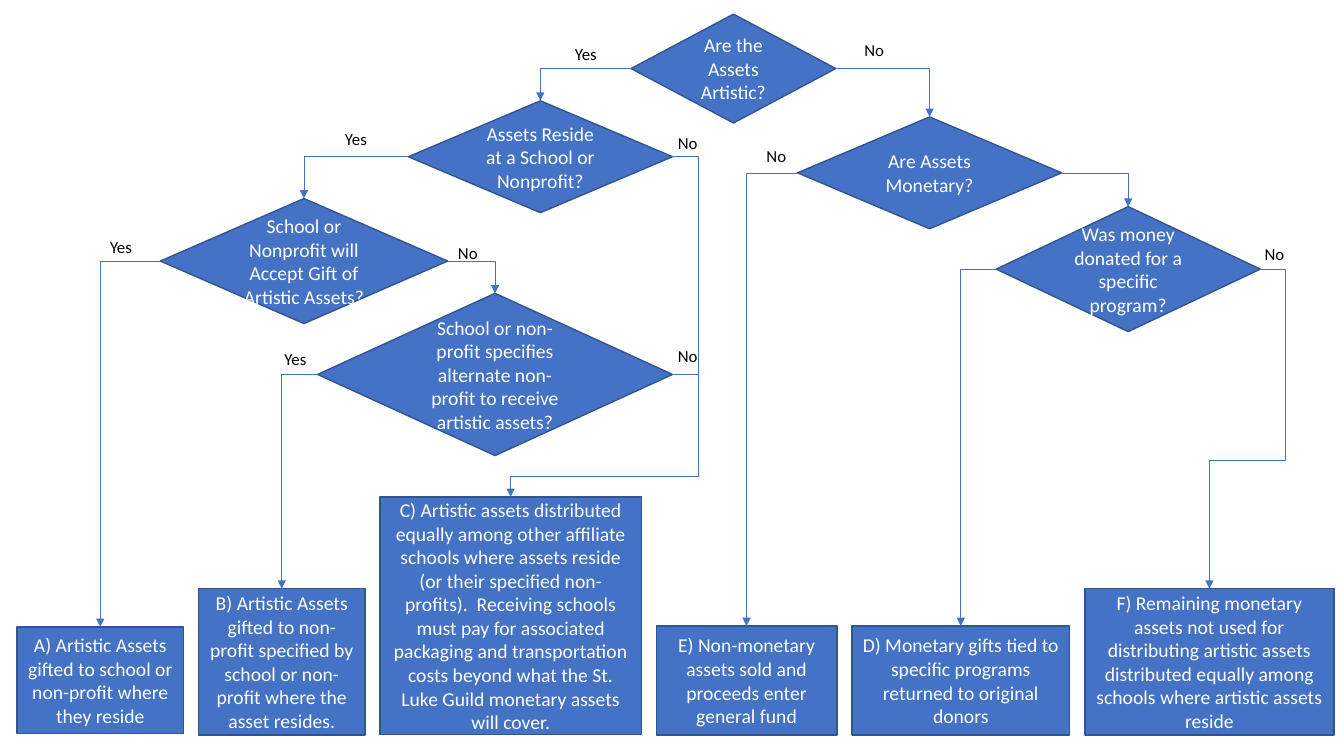
from dataclasses import dataclass

from lxml.etree import SubElement
from pptx import Presentation
from pptx.dml.color import RGBColor
from pptx.enum.shapes import MSO_CONNECTOR, MSO_SHAPE
from pptx.enum.text import PP_ALIGN
from pptx.oxml.ns import qn
from pptx.util import Inches, Pt


@dataclass(frozen=True)
class Theme:
    font: str = "Calibri"
    fill: RGBColor = RGBColor(0x44, 0x72, 0xC4)
    outline: RGBColor = RGBColor(0x32, 0x54, 0x91)
    on_fill: RGBColor = RGBColor(0xFF, 0xFF, 0xFF)
    label: RGBColor = RGBColor(0, 0, 0)
    node_size: Pt = Pt(14)
    label_size: Pt = Pt(12)
    outline_width: Pt = Pt(1)
    link_width: Pt = Pt(0.5)


theme = Theme()
TOP, LEFT, RIGHT = 0, 1, 3  # connection sites

prs = Presentation()
prs.slide_width, prs.slide_height = Inches(13.33), Inches(7.5)
s = prs.slides.add_slide(prs.slide_layouts[6])


def write(sp, text, size, color):
    p = sp.text_frame.paragraphs[0]
    p.text = text
    p.alignment = PP_ALIGN.CENTER
    p.font.name, p.font.size, p.font.color.rgb = theme.font, size, color


def link(source, side, target=None, end=(0, 0), bends=None):
    """Join a decision's side to the target's top, or to a loose end point.

    bends gives the two bend positions as fractions of the width and height.
    """
    c = s.shapes.add_connector(MSO_CONNECTOR.ELBOW, 0, 0, Inches(end[0]), Inches(end[1]))
    c.begin_connect(source, side)
    if target is not None:
        c.end_connect(target, TOP)
    c.line.color.rgb, c.line.width = theme.fill, theme.link_width
    props = c._element.spPr
    geom = props.find(qn("a:prstGeom"))
    geom.set("prst", "bentConnector4" if bends else "bentConnector2")
    for i, bend in enumerate(bends or (), 1):
        SubElement(geom.find(qn("a:avLst")), qn("a:gd"),
                   name=f"adj{i}", fmla=f"val {round(bend * 100000)}")
    if target is not None:
        SubElement(props.find(qn("a:ln")), qn("a:tailEnd"), type="triangle")
    SubElement(props, qn("a:effectLst"))


decisions = {
    "artistic": (6.26, 0.14, 2.03, 1.08, "Are the Assets Artistic?"),
    "reside": (4.05, 1, 2.62, 1.11, "Assets Reside at a School or Nonprofit?"),
    "accept": (1.59, 1.97, 2.85, 1.24,
               "School or Nonprofit will Accept Gift of Artistic Assets?"),
    "alternate": (3.15, 2.91, 3.52, 1.61,
                  "School or non-profit specifies alternate non-profit "
                  "to receive artistic assets?"),
    "monetary": (7.91, 1.16, 2.62, 1.11, "Are Assets Monetary?"),
    "program": (9.88, 2.05, 2.62, 1.24, "Was money donated for a specific program?"),
}
outcomes = {
    "A": (0.17, 6.22, 1.65, 1.06,
          "A) Artistic Assets gifted to school or non-profit where they reside"),
    "B": (1.97, 5.84, 1.65, 1.45,
          "B) Artistic Assets gifted to non-profit specified by school or "
          "non-profit where the asset resides."),
    "C": (3.77, 4.93, 2.59, 2.36,
          "C) Artistic assets distributed equally among other affiliate schools "
          "where assets reside (or their specified non-profits).  Receiving schools "
          "must pay for associated packaging and transportation costs beyond what "
          "the St. Luke Guild monetary assets will cover."),
    "E": (6.51, 6.21, 1.79, 1.08,
          "E) Non-monetary assets sold and proceeds enter general fund"),
    "D": (8.45, 6.21, 2.16, 1.08,
          "D) Monetary gifts tied to specific programs returned to original donors"),
    "F": (10.76, 5.84, 2.47, 1.45,
          "F) Remaining monetary assets not used for distributing artistic assets "
          "distributed equally among schools where artistic assets reside"),
}

nodes = {}
for preset, group in ((MSO_SHAPE.FLOWCHART_DECISION, decisions),
                      (MSO_SHAPE.FLOWCHART_PROCESS, outcomes)):
    for name, (*box, text) in group.items():
        sp = s.shapes.add_shape(preset, *map(Inches, box))
        sp.shadow.inherit = False
        sp.fill.solid()
        sp.fill.fore_color.rgb = theme.fill
        sp.line.color.rgb, sp.line.width = theme.outline, theme.outline_width
        write(sp, text, theme.node_size, theme.on_fill)
        nodes[name] = sp

for source, side, target in (
    ("artistic", LEFT, "reside"), ("artistic", RIGHT, "monetary"),
    ("reside", LEFT, "accept"),
    ("accept", LEFT, "A"), ("accept", RIGHT, "alternate"),
    ("alternate", LEFT, "B"),
    ("monetary", LEFT, "E"), ("monetary", RIGHT, "program"),
    ("program", LEFT, "D"),
):
    link(nodes[source], side, nodes[target])
link(nodes["alternate"], RIGHT, nodes["C"], bends=(-0.16, 0.83))
link(nodes["program"], RIGHT, nodes["F"], bends=(-0.49, 0.6))
link(nodes["reside"], RIGHT, end=(6.93, 4.28))

answers = {
    "Yes": ((5.52, 0.38), (3.24, 1.23), (0.91, 2.3), (2.64, 3.41)),
    "No": ((8.38, 0.35), (7.41, 1.4), (12.35, 2.37), (4.35, 2.36),
           (6.53, 3.38), (6.53, 1.27)),
}
for answer, spots in answers.items():
    for x, y in spots:
        label = s.shapes.add_textbox(Inches(x), Inches(y), Inches(0.58), Inches(0.3))
        label.text_frame.word_wrap = True
        write(label, answer, theme.label_size, theme.label)

prs.save("out.pptx")
